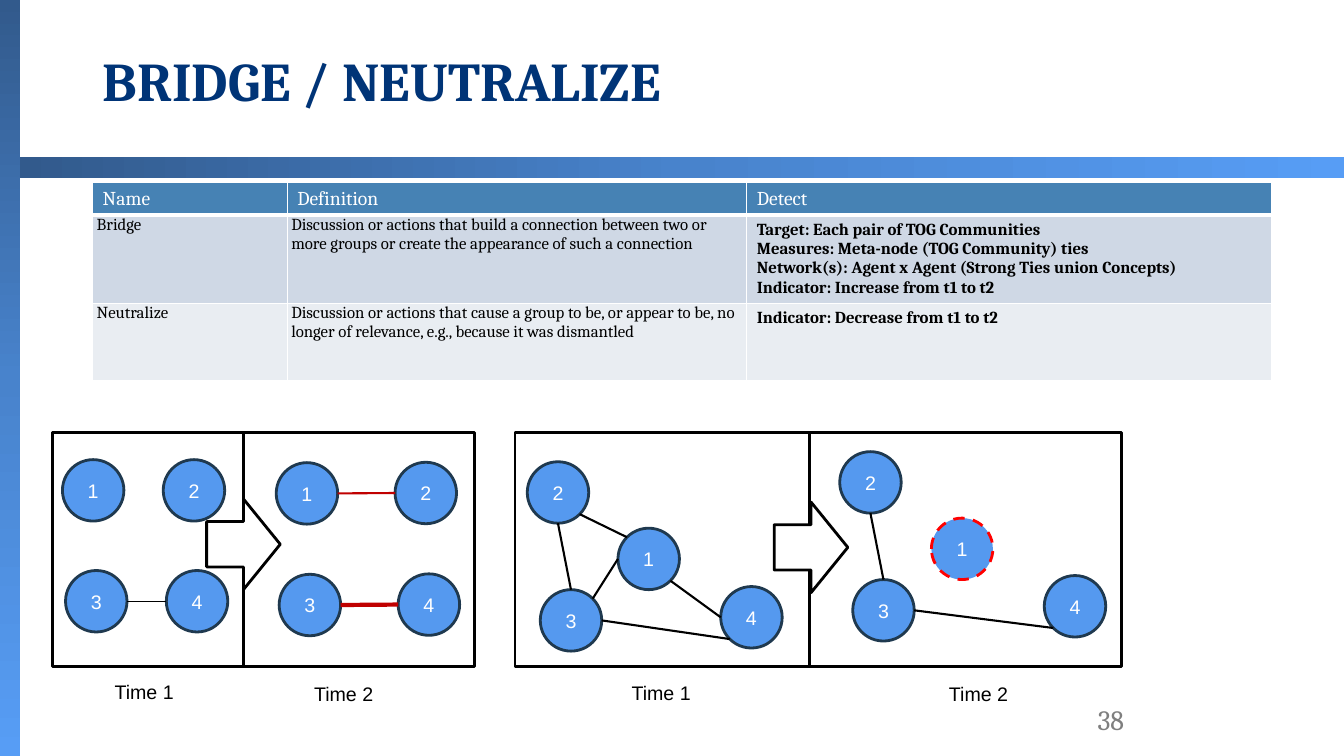
from math import cos, radians, sin

from pptx import Presentation
from pptx.dml.color import RGBColor
from pptx.enum.dml import MSO_LINE_DASH_STYLE as DASH
from pptx.enum.shapes import MSO_CONNECTOR as CONN, MSO_SHAPE as SHAPE
from pptx.enum.text import MSO_ANCHOR as ANCHOR, MSO_AUTO_SIZE as AUTO, PP_ALIGN as ALIGN
from pptx.oxml import parse_xml
from pptx.oxml.ns import nsdecls, qn
from pptx.util import Pt


class Theme:
    serif, sans = "Cambria", "Arial"
    title_size, number_size, head_size, cell_size, node_size = 39, 20, 14, 12, 14
    navy, gray, black, white = "003477", "7F7F7F", "000000", "FFFFFF"
    head, bands = "4682B4", ("CFD8E5", "E9EDF2")
    node, node_line, removed, strong = "5599EF", "1F394F", "FF0000", "C00000"
    bar = ((0, "325A8C"), (50, "4883CC"), (100, "579DF5"))


TITLE = "BRIDGE / NEUTRALIZE"
NUMBER = "38"
BARS = [((0, 0, 14.4, 540), 90), ((14.4, 112.5, 945.6, 14.4), 0)]

HEADS = ("Name", "Definition", "Detect")
ROWS = [
    ("Bridge",
     "Discussion or actions that build a connection between two or more groups "
     "or create the appearance of such a connection",
     ("Target: Each pair of TOG Communities",
      "Measures: Meta-node (TOG Community) ties",
      "Network(s): Agent x Agent (Strong Ties union Concepts)",
      "Indicator: Increase from t1 to t2")),
    ("Neutralize",
     "Discussion or actions that cause a group to be, or appear to be, no longer "
     "of relevance, e.g., because it was dismantled",
     ("Indicator: Decrease from t1 to t2",)),
]
COL_WIDTHS = (139, 328.3, 375.1)
ROW_HEIGHTS = (23, 63, 55.4)

SITES = {"right": 0, "bottom right": 45, "bottom": 90, "bottom left": 135,
         "left": 180, "top left": 225, "top": 270, "top right": 315}
PANELS = [
    dict(left=37.4, width=301.7, divider=174.2, arrow=(147.6, 356.4), times=[
        dict(label=("Time 1", 103, 482.4),
             nodes={"1": (44.6, 328.3), "2": (116.6, 328.3),
                    "3": (46.8, 407.5), "4": (118.8, 407.5)},
             ties=[("3", "right", "4", "left", Theme.black, 0.5)]),
        dict(label=("Time 2", 245.5, 483.8),
             nodes={"1": (197.3, 330.5), "2": (282.2, 330.2),
                    "3": (199.4, 410.2), "4": (284.4, 409.9)},
             ties=[("3", "right", "4", "left", Theme.strong, 3),
                   ("1", "right", "2", "left", Theme.strong, 1.5)]),
    ]),
    dict(left=367.9, width=433.4, divider=578.2, arrow=(553, 358.6), times=[
        dict(label=("Time 1", 472.3, 483.1),
             nodes={"1": (441.4, 377.3), "2": (376.6, 329.8),
                    "3": (385.9, 421.2), "4": (514.8, 419)},
             ties=[("1", "top left", "2", "bottom right", Theme.black, 1.5),
                   ("1", "bottom right", "4", "left", Theme.black, 1.5),
                   ("3", "right", "4", "bottom left", Theme.black, 1.5),
                   ("3", "top right", "1", "left", Theme.black, 1.5),
                   ("3", "top", "2", "bottom", Theme.black, 1.5)]),
        dict(label=("Time 2", 699, 483.8), removed="1",
             nodes={"1": (665.3, 370.1), "2": (599.8, 322.6),
                    "3": (609.1, 414), "4": (745.9, 411.1)},
             ties=[("3", "right", "4", "bottom left", Theme.black, 1.5),
                   ("3", "top", "2", "bottom", Theme.black, 1.5)]),
    ]),
]
PANEL_TOP, PANEL_HEIGHT, NODE = 308.9, 167, 43.9


def rgb(color):
    return RGBColor.from_string(color)


def write(p, text, size, color, font, bold=False, align=None):
    r = p.add_run()
    r.text = text
    r.font.name, r.font.size, r.font.bold = font, Pt(size), bold
    r.font.color.rgb = rgb(color)
    p.alignment = align


def add_shape(s, kind, box, fill=None, line=None, width=2):
    sp = s.shapes.add_shape(kind, *map(Pt, box))
    sp.shadow.inherit = False
    if fill:
        sp.fill.solid()
        sp.fill.fore_color.rgb = rgb(fill)
    else:
        sp.fill.background()
    sp.line.color.rgb = rgb(line)
    sp.line.width = Pt(width)
    return sp


def add_line(s, start, end, color, width):
    cx = s.shapes.add_connector(CONN.STRAIGHT, *map(Pt, (*start, *end)))
    cx.line.color.rgb = rgb(color)
    cx.line.width = Pt(width)
    cx._element.spPr.append(parse_xml(f"<a:effectLst {nsdecls('a')}/>"))


def add_bar(s, box, angle):
    sp = s.shapes.add_shape(SHAPE.RECTANGLE, *map(Pt, box))
    stops = "".join(f'<a:gs pos="{pos * 1000}"><a:srgbClr val="{c}"/></a:gs>' for pos, c in Theme.bar)
    sp._element.spPr.append(parse_xml(
        f"<a:gradFill {nsdecls('a')}><a:gsLst>{stops}</a:gsLst>"
        f'<a:lin ang="{angle * 60000}" scaled="0"/></a:gradFill>'))
    sp.line.fill.background()
    sp.shadow.inherit = False


def add_text(s, box, text, size, color, font, align, wrap):
    tf = s.shapes.add_textbox(*map(Pt, box)).text_frame
    tf.word_wrap = wrap
    tf.auto_size = AUTO.NONE if wrap else AUTO.SHAPE_TO_FIT_TEXT
    tf.vertical_anchor = ANCHOR.MIDDLE if wrap else ANCHOR.TOP
    write(tf.paragraphs[0], text, size, color, font, align=align)


def format_cell(cell, lines, fill, size, color, bold=False, tight=False, bottom=1):
    for edge in "LRTB":
        width = bottom if edge == "B" else 1
        cell._tc.get_or_add_tcPr().append(parse_xml(
            f'<a:ln{edge} {nsdecls("a")} w="{Pt(width)}"><a:solidFill>'
            f'<a:srgbClr val="{Theme.white}"/></a:solidFill></a:ln{edge}>'))
    cell.fill.solid()
    cell.fill.fore_color.rgb = rgb(fill)
    if tight:
        cell.margin_left = cell.margin_right = Pt(2.9)
        cell.margin_top = cell.margin_bottom = 0
    tf = cell.text_frame
    for i, text in enumerate(lines):
        p = tf.add_paragraph() if i else tf.paragraphs[0]
        write(p, text, size, color, Theme.serif, bold)


def add_definitions(s):
    box = (66.2, 130.3, sum(COL_WIDTHS), sum(ROW_HEIGHTS))
    table = s.shapes.add_table(len(ROWS) + 1, len(HEADS), *map(Pt, box)).table
    for col, width in zip(table.columns, COL_WIDTHS):
        col.width = Pt(width)
    for row, height in zip(table.rows, ROW_HEIGHTS):
        row.height = Pt(height)
    for c, head in enumerate(HEADS):
        format_cell(table.cell(0, c), [head], Theme.head, Theme.head_size, Theme.white, bottom=3)
    for r, (name, definition, detect) in enumerate(ROWS, 1):
        for c, lines in enumerate(([name], [definition], detect)):
            is_detect = c == 2
            format_cell(table.cell(r, c), lines, Theme.bands[r - 1], Theme.cell_size,
                        Theme.black, bold=is_detect, tight=not is_detect)


def site(corner, name):
    angle = radians(SITES[name])
    return (corner[0] + NODE / 2 * (1 + cos(angle)), corner[1] + NODE / 2 * (1 + sin(angle)))


def add_network(s, time):
    nodes, removed = time["nodes"], time.get("removed")
    for name, corner in nodes.items():
        line = Theme.removed if name == removed else Theme.node_line
        sp = add_shape(s, SHAPE.OVAL, (*corner, NODE, NODE), Theme.node, line)
        if name == removed:
            sp.line.dash_style = DASH.DASH
        sp.text_frame.vertical_anchor = ANCHOR.MIDDLE
        write(sp.text_frame.paragraphs[0], name, Theme.node_size, Theme.white, Theme.sans,
              align=ALIGN.CENTER)
    for a, a_site, b, b_site, color, width in time["ties"]:
        add_line(s, site(nodes[a], a_site), site(nodes[b], b_site), color, width)
    text, center, top = time["label"]
    add_text(s, (center - 28.8, top, 57.6, 24.5), text, Theme.node_size, Theme.black,
             Theme.sans, ALIGN.CENTER, False)


def add_panel(s, panel):
    for time in panel["times"]:
        add_network(s, time)
    x = panel["divider"]
    add_shape(s, SHAPE.RECTANGLE, (panel["left"], PANEL_TOP, panel["width"], PANEL_HEIGHT),
              line=Theme.black)
    add_line(s, (x, PANEL_TOP), (x, PANEL_TOP + PANEL_HEIGHT), Theme.black, 2.25)
    add_shape(s, SHAPE.RIGHT_ARROW, (*panel["arrow"], 52.6, 64.8), Theme.white, Theme.black)


def main():
    prs = Presentation()
    prs.slide_width, prs.slide_height = Pt(960), Pt(540)
    s = prs.slides.add_slide(prs.slide_layouts[5])
    for box, angle in BARS:
        add_bar(s, box, angle)
    title = s.shapes.title
    title.left, title.top, title.width, title.height = map(Pt, (66.2, 11.5, 828, 96.5))
    tf = title.text_frame
    tf.auto_size, tf.vertical_anchor = AUTO.NONE, ANCHOR.MIDDLE
    p = tf.paragraphs[0]
    p.line_spacing = 0.9
    write(p, TITLE, Theme.title_size, Theme.navy, Theme.serif, True, ALIGN.LEFT)
    add_text(s, (679.7, 499.7, 130.3, 28.8), NUMBER, Theme.number_size, Theme.gray,
             Theme.serif, ALIGN.RIGHT, True)
    add_definitions(s)
    for panel in PANELS:
        add_panel(s, panel)
    prs.save("out.pptx")


if __name__ == "__main__":
    main()
